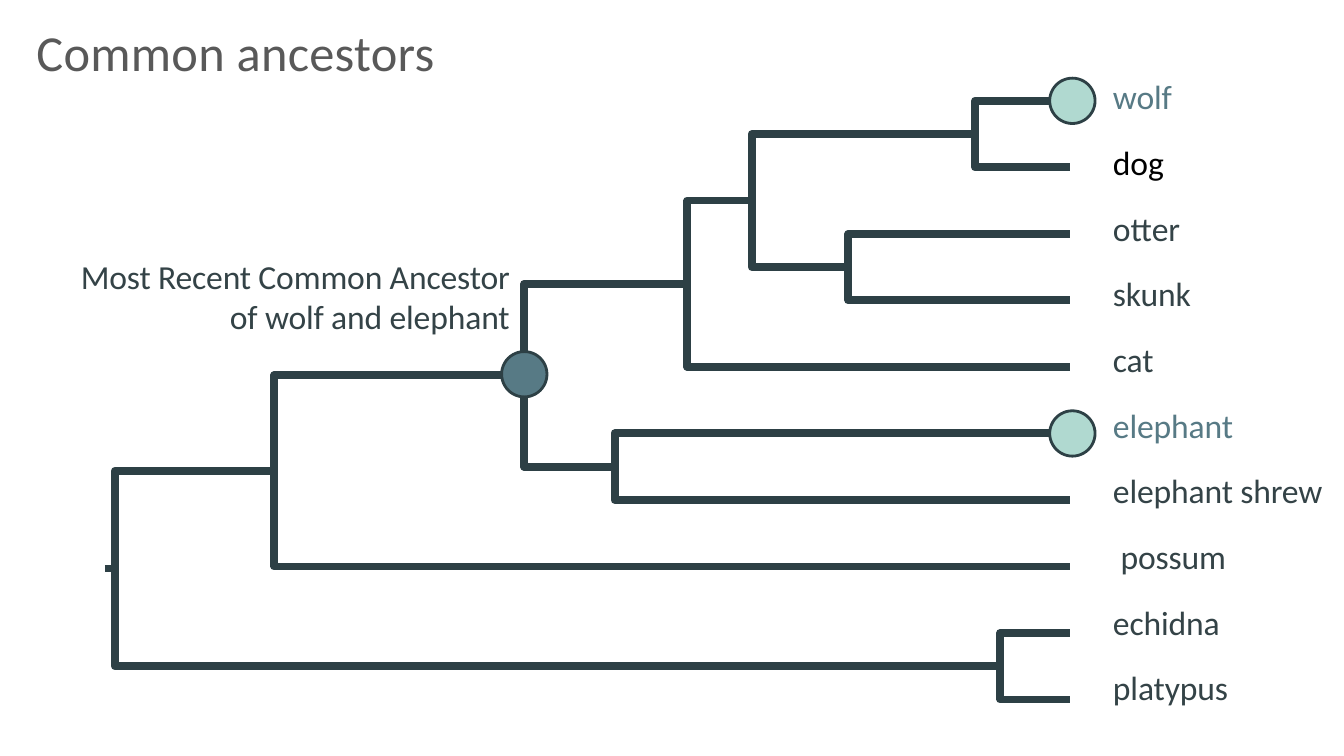
import pptx
import pptx.dml.color
import pptx.enum.shapes
import pptx.enum.text
import pptx.util
from lxml import etree

Pt = pptx.util.Pt
RGBColor = pptx.dml.color.RGBColor
Align = pptx.enum.text.PP_ALIGN
Anchor = pptx.enum.text.MSO_ANCHOR

BRANCH = RGBColor(0x2D, 0x40, 0x45)
INK = RGBColor(0x34, 0x43, 0x47)
TITLE_GREY = RGBColor(0x59, 0x59, 0x59)
BLACK = RGBColor(0x00, 0x00, 0x00)
TEAL = RGBColor(0x57, 0x7A, 0x85)
MINT = RGBColor(0xB0, 0xD9, 0xD0)

LEAF_X = 764
FIRST_LEAF_Y = 72
LEAF_PITCH = 47.52
ROOT_X = 75
DRAWING_NAMESPACE = "{http://schemas.openxmlformats.org/drawingml/2006/main}"

SPECIES = ["wolf", "dog", "otter", "skunk", "cat", "elephant",
           "elephant shrew", "possum", "echidna", "platypus"]
SPECIES_COLORS = {"wolf": TEAL, "dog": BLACK, "elephant": TEAL}

# Each split is (name, x, upper branch, lower branch)
CANINES = ("canines", 696.5, "wolf", "dog")
MUSTELOIDS = ("musteloids", 606, "otter", "skunk")
DOG_LIKE = ("dog-like", 537, CANINES, MUSTELOIDS)
CARNIVORES = ("carnivores", 491, DOG_LIKE, "cat")
AFROTHERIANS = ("afrotherians", 439, "elephant", "elephant shrew")
PLACENTALS = ("placentals", 374.5, CARNIVORES, AFROTHERIANS)
THERIANS = ("therians", 196, PLACENTALS, "possum")
MONOTREMES = ("monotremes", 714.5, "echidna", "platypus")
MAMMALS = ("mammals", 82, THERIANS, MONOTREMES)


class TreeSlide:
    font_name = "Calibri"
    branch_width = 5.6
    marker_size = 32.4

    def __init__(self, slide):
        self.slide = slide
        self.positions = {}

    def text(self, left, top, width, height, lines, size=24, color=INK,
             align=Align.LEFT, anchor=Anchor.TOP, gap=0, tracking=-10,
             line_colors=None):
        box = self.slide.shapes.add_textbox(Pt(left), Pt(top), Pt(width), Pt(height))
        frame = box.text_frame
        frame.word_wrap = True
        frame.vertical_anchor = anchor
        frame.margin_left = frame.margin_right = 0
        frame.margin_top = frame.margin_bottom = 0
        frame.text = "\n".join(lines)
        for index, paragraph in enumerate(frame.paragraphs):
            paragraph.alignment = align
            if index:
                paragraph.space_before = Pt(gap)
            for run in paragraph.runs:
                run.font.name = self.font_name
                run.font.size = Pt(size)
                run.font.color.rgb = (line_colors or {}).get(run.text, color)
                run.font._element.set("spc", str(tracking))
        return frame

    def branch(self, start, end):
        """Elbow from a child node back to its parent split."""
        (start_x, start_y), (end_x, end_y) = start, end
        builder = self.slide.shapes.build_freeform(Pt(start_x), Pt(start_y))
        builder.add_line_segments(
            [(Pt(end_x), Pt(start_y)), (Pt(end_x), Pt(end_y))], close=False)
        shape = builder.convert_to_shape()
        shape.shadow.inherit = False
        shape.fill.background()
        shape.line.color.rgb = BRANCH
        shape.line.width = Pt(self.branch_width)
        etree.SubElement(shape.line._get_or_add_ln(), DRAWING_NAMESPACE + "round")

    def stem(self, start_x, end):
        end_x, y = end
        connector = self.slide.shapes.add_connector(
            pptx.enum.shapes.MSO_CONNECTOR.STRAIGHT,
            Pt(start_x), Pt(y), Pt(end_x), Pt(y))
        connector.line.color.rgb = BRANCH
        connector.line.width = Pt(self.branch_width)
        etree.SubElement(connector._element.spPr, DRAWING_NAMESPACE + "effectLst")

    def tree(self, node):
        """Draw a node's branches and return its position, midway between its children."""
        if isinstance(node, str):
            name = node
            position = (LEAF_X, FIRST_LEAF_Y + LEAF_PITCH * SPECIES.index(name))
        else:
            name, x, *children = node
            ends = [self.tree(child) for child in children]
            position = (x, sum(y for _, y in ends) / len(ends))
            for end in ends:
                self.branch(end, position)
        self.positions[name] = position
        return position

    def marker(self, name, color, shift_x=0, shift_y=0):
        x, y = self.positions[name]
        radius = self.marker_size / 2
        shape = self.slide.shapes.add_shape(
            pptx.enum.shapes.MSO_SHAPE.OVAL,
            Pt(x + shift_x - radius), Pt(y + shift_y - radius),
            Pt(self.marker_size), Pt(self.marker_size))
        shape.shadow.inherit = False
        shape.fill.solid()
        shape.fill.fore_color.rgb = color
        shape.line.color.rgb = BRANCH
        shape.line.width = Pt(2)


def main():
    presentation = pptx.Presentation()
    presentation.slide_width = Pt(960)
    presentation.slide_height = Pt(540)
    page = TreeSlide(presentation.slides.add_slide(presentation.slide_layouts[6]))

    # Title and ancestor caption
    page.text(26, 13, 470, 45, ["Common ancestors"], size=36,
              color=TITLE_GREY, anchor=Anchor.BOTTOM, tracking=23)
    page.text(43, 182.5, 321, 60,
              ["Most Recent Common Ancestor", "of wolf and elephant"],
              align=Align.RIGHT)

    # Tree, from the leaves back to the root
    page.stem(ROOT_X, page.tree(MAMMALS))

    # Highlighted species and their common ancestor
    for name in ("wolf", "elephant"):
        page.marker(name, MINT, shift_x=2)
    page.marker("placentals", TEAL, shift_y=-0.7)

    # Species names
    names = page.text(795, 54.5, 157, 457, SPECIES, gap=18.1,
                      line_colors=SPECIES_COLORS)
    possum = names.paragraphs[SPECIES.index("possum")]
    possum._p.get_or_add_pPr().set("marL", str(Pt(5.4)))

    presentation.save("out.pptx")


if __name__ == "__main__":
    main()
